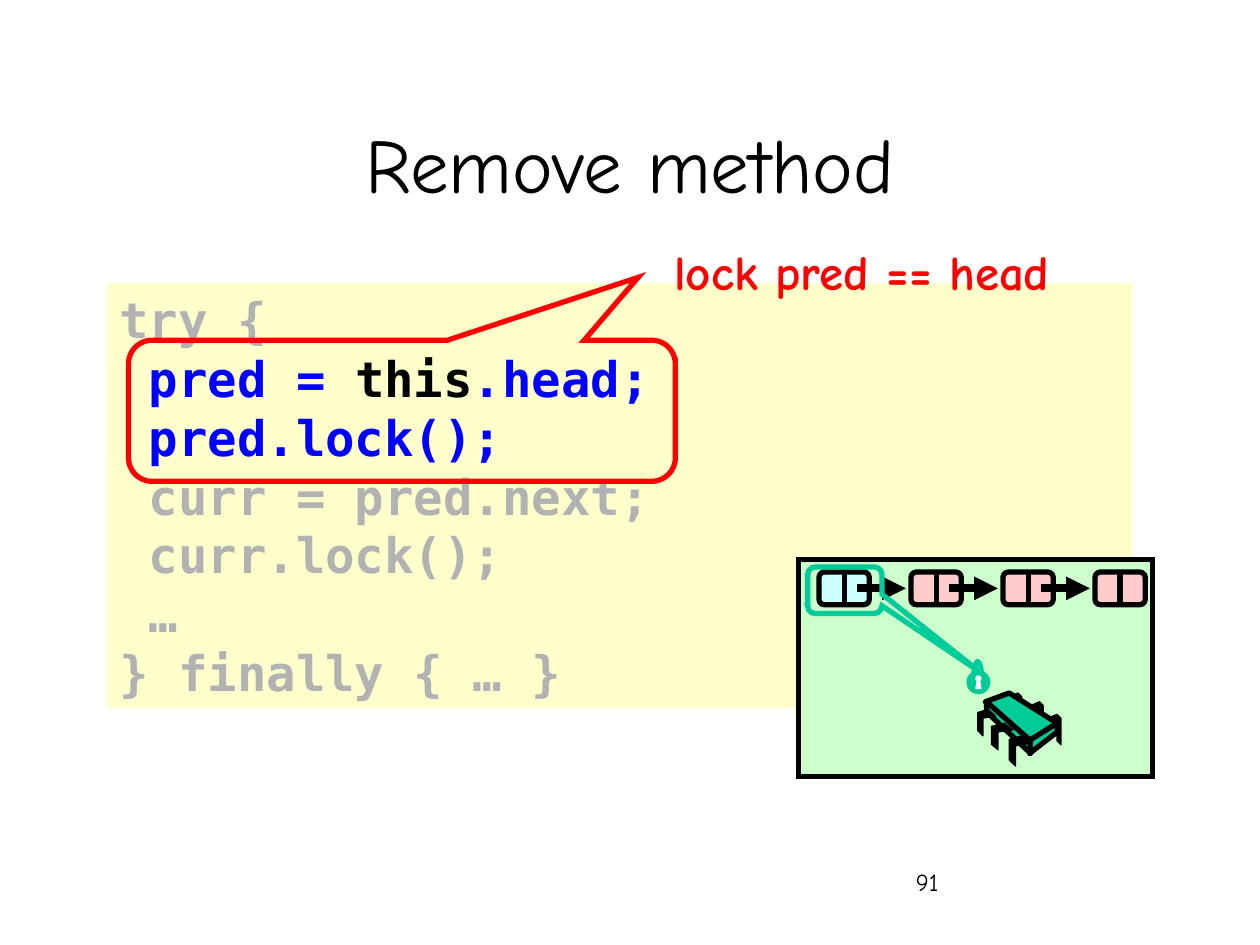
from dataclasses import dataclass
from lxml.etree import SubElement
from pptx import Presentation
from pptx.dml.color import RGBColor
from pptx.enum.shapes import MSO_CONNECTOR, MSO_SHAPE
from pptx.enum.text import MSO_ANCHOR, MSO_AUTO_SIZE, PP_ALIGN
from pptx.oxml.ns import qn
from pptx.util import Inches, Pt


@dataclass(frozen=True)
class Theme:
    font: str = "Comic Neue"
    mono: str = "DejaVu Sans Mono"
    title: int = 44
    code: int = 28
    spacer: int = 32
    number: int = 14
    black: str = "000000"
    white: str = "FFFFFF"
    muted: str = "B2B2B2"
    blue: str = "0000FF"
    red: str = "FF0000"
    teal: str = "00CC99"
    code_fill: str = "FFFFCC"
    panel: str = "CCFFCC"
    head_node: str = "CCFFFF"
    node: str = "FFCCCC"


THEME = Theme()

TITLE = "Remove method"
CALLOUT = "lock pred == head"
PAGE_NUMBER = "91"
CODE = [
    [("try {", THEME.muted)],
    [(" pred = ", THEME.blue), ("this", THEME.black), (".head;", THEME.blue)],
    [(" pred.lock();", THEME.blue)],
    [(" curr = pred.next;", THEME.muted)],
    [(" curr.lock();", THEME.muted)],
    [(" …", THEME.muted)],
    [("} finally { … }", THEME.muted)],
]

NODE_FILLS = [THEME.head_node] + [THEME.node] * 3
NODE_LEFT, NODE_TOP, NODE_WIDTH, NODE_HEIGHT, NODE_STEP = 6.5, 4.54, 0.4, 0.26, 0.73

BACK_LEGS = [(8.32, 5.67, 0.24), (8.18, 5.57, 0.24), (8.01, 5.5, 0.21)]
FRONT_LEGS = [(8.01, 5.84, 0.17, 0.24), (7.87, 5.74, 0.17, 0.21), (7.76, 5.63, 0.14, 0.21)]
CHIP_FACES = [
    [(8.01, 5.5), (8.39, 5.74), (8.18, 5.88), (7.82, 5.57)],
    [(7.83, 5.57), (8.18, 5.88), (8.18, 5.98), (7.83, 5.65)],
    [(8.39, 5.74), (8.39, 5.81), (8.17, 5.98), (8.18, 5.87)],
]
KEYHOLE = [(7.74, 5.47), (7.75, 5.4), (7.78, 5.4), (7.79, 5.47)]
SHACKLE_INNER = [
    [(7.73, 5.35), (7.73, 5.32), (7.75, 5.29), (7.76, 5.29)],
    [(7.76, 5.29), (7.77, 5.29), (7.79, 5.32), (7.79, 5.35)],
]
SHACKLE_OUTER = [
    [(7.81, 5.35), (7.81, 5.29), (7.79, 5.23), (7.76, 5.23)],
    [(7.76, 5.23), (7.73, 5.23), (7.71, 5.29), (7.71, 5.35)],
]


def color(value):
    return RGBColor.from_string(value)


def inches(*values):
    return [Inches(value) for value in values]


def add_span(para, text, size=THEME.code, font=THEME.font, fill=THEME.black, bold=False):
    span = para.add_run()
    span.text = text
    span.font.size, span.font.name, span.font.bold = Pt(size), font, bold
    span.font.color.rgb = color(fill)


def paint(shape, fill=None, line=None, width=3, miter=False):
    shape.shadow.inherit = False
    if fill:
        shape.fill.solid()
        shape.fill.fore_color.rgb = color(fill)
    else:
        shape.fill.background()
    if line:
        shape.line.color.rgb = color(line)
        shape.line.width = Pt(width)
        if miter:
            SubElement(shape.line._get_or_add_ln(), qn("a:miter"), lim="800000")
    else:
        shape.line.fill.background()
    return shape


def add_preset(shapes, kind, at, adjustments=(), **look):
    shape = shapes.add_shape(kind, *inches(*at))
    for index, value in enumerate(adjustments):
        shape.adjustments[index] = value
    return paint(shape, **look)


def add_outline(shapes, points, **look):
    corners = [tuple(inches(*point)) for point in points]
    builder = shapes.build_freeform(*corners[0])
    builder.add_line_segments(corners[1:], close=True)
    return paint(builder.convert_to_shape(), **look)


def add_line(shapes, start, end, width=3, arrow=False):
    line = shapes.add_connector(MSO_CONNECTOR.STRAIGHT, *inches(*start, *end))
    line.line.color.rgb = color(THEME.black)
    line.line.width = Pt(width)
    if arrow:
        SubElement(line.line._get_or_add_ln(), qn("a:tailEnd"), type="triangle")
    SubElement(line._element.spPr, qn("a:effectLst"))


def add_text(page, at, align=PP_ALIGN.LEFT):
    box = page.shapes.add_textbox(*inches(*at))
    box.text_frame.word_wrap = True
    para = box.text_frame.paragraphs[0]
    para.alignment = align
    return para


def curve(a, b, c, d, steps=8):
    for step in range(steps + 1):
        t = step / steps
        weights = ((1 - t) ** 3, 3 * t * (1 - t) ** 2, 3 * t * t * (1 - t), t ** 3)
        yield tuple(sum(w * p[axis] for w, p in zip(weights, (a, b, c, d))) for axis in (0, 1))


def back_leg(x, y, height):
    offsets = [(0, 0.03), (0.07, 0), (0.1, 0.03), (0.1, height),
               (0.07, height - 0.03), (0.07, 0.07), (0, 0.1)]
    return [(x + dx, y + dy) for dx, dy in offsets]


def front_leg(x, y, width, height):
    ratios = [(0.6, 0), (1, 0.25), (0.3, 0.33), (0.3, 1), (0, 0.8), (0, 0.12)]
    return [(x + width * across, y + height * down) for across, down in ratios]


def add_code(page):
    box = add_preset(page.shapes, MSO_SHAPE.RECTANGLE, (0.85, 2.25, 8.14, 3.37), fill=THEME.code_fill)
    frame = box.text_frame
    frame.word_wrap = True
    frame.vertical_anchor = MSO_ANCHOR.TOP
    for index, line in enumerate(CODE):
        para = frame.add_paragraph() if index else frame.paragraphs[0]
        para.alignment = PP_ALIGN.LEFT
        for text, fill in line:
            add_span(para, text, font=THEME.mono, fill=fill, bold=True)


def add_list(shapes):
    middle = NODE_TOP + NODE_HEIGHT / 2
    for index, fill in enumerate(NODE_FILLS):
        left = NODE_LEFT + index * NODE_STEP
        center = left + NODE_WIDTH / 2
        add_preset(shapes, MSO_SHAPE.ROUNDED_RECTANGLE, (left, NODE_TOP, NODE_WIDTH, NODE_HEIGHT),
                   [0.167], fill=fill, line=THEME.black)
        add_line(shapes, (center, NODE_TOP), (center, NODE_TOP + NODE_HEIGHT))
    for index in range(len(NODE_FILLS) - 1):
        start = NODE_LEFT + index * NODE_STEP + 0.3
        add_line(shapes, (start, middle), (start + 0.39, middle), width=4.5, arrow=True)


def add_lock(shapes):
    add_preset(shapes, MSO_SHAPE.OVAL, (7.67, 5.32, 0.19, 0.19), fill=THEME.teal)
    add_preset(shapes, MSO_SHAPE.OVAL, (7.74, 5.36, 0.05, 0.05), fill=THEME.white)
    add_outline(shapes, KEYHOLE, fill=THEME.white)
    shackle = [point for part in SHACKLE_INNER + SHACKLE_OUTER for point in curve(*part)]
    add_outline(shapes, shackle, fill=THEME.teal)


def add_chip(shapes):
    leg_look = dict(fill=THEME.black, line=THEME.black, width=0.75)
    for leg in BACK_LEGS:
        add_outline(shapes, back_leg(*leg), **leg_look)
    for face in CHIP_FACES:
        add_outline(shapes, face, fill=THEME.teal, line=THEME.black)
    for leg in FRONT_LEGS:
        add_outline(shapes, front_leg(*leg), **leg_look)


def main():
    deck = Presentation()
    deck.slide_width, deck.slide_height = inches(10, 7.5)
    page = deck.slides.add_slide(deck.slide_layouts[5])

    title = page.shapes.title
    title.left, title.top, title.width, title.height = inches(0.75, 0.67, 8.5, 1.25)
    title.text_frame.auto_size = MSO_AUTO_SIZE.NONE
    title.text_frame.vertical_anchor = MSO_ANCHOR.MIDDLE
    heading = title.text_frame.paragraphs[0]
    heading.alignment = PP_ALIGN.CENTER
    add_span(heading, TITLE, size=THEME.title)
    add_span(add_text(page, (7.17, 6.83, 2.08, 0.5)), PAGE_NUMBER, size=THEME.number)

    add_code(page)
    add_preset(page.shapes, MSO_SHAPE.ROUNDED_RECTANGULAR_CALLOUT, (1.02, 2.7, 4.34, 1.12),
               [0.432, -0.945, 0.167], line=THEME.red, miter=True)
    label = add_text(page, (4.86, 1.81, 4.12, 0.63), PP_ALIGN.CENTER)
    add_span(label, CALLOUT, fill=THEME.red, bold=True)
    add_span(label, " ", size=THEME.spacer, fill=THEME.red, bold=True)

    shapes = page.shapes.add_group_shape().shapes
    add_preset(shapes, MSO_SHAPE.RECTANGLE, (6.34, 4.44, 2.81, 1.72),
               fill=THEME.panel, line=THEME.black, miter=True)
    add_list(shapes)
    add_preset(shapes, MSO_SHAPE.ROUNDED_RECTANGULAR_CALLOUT, (6.41, 4.5, 0.59, 0.37),
               [1.813, 1.749, 0.167], line=THEME.teal, miter=True)
    add_lock(shapes)
    add_chip(shapes)
    deck.save("out.pptx")


if __name__ == "__main__":
    main()
